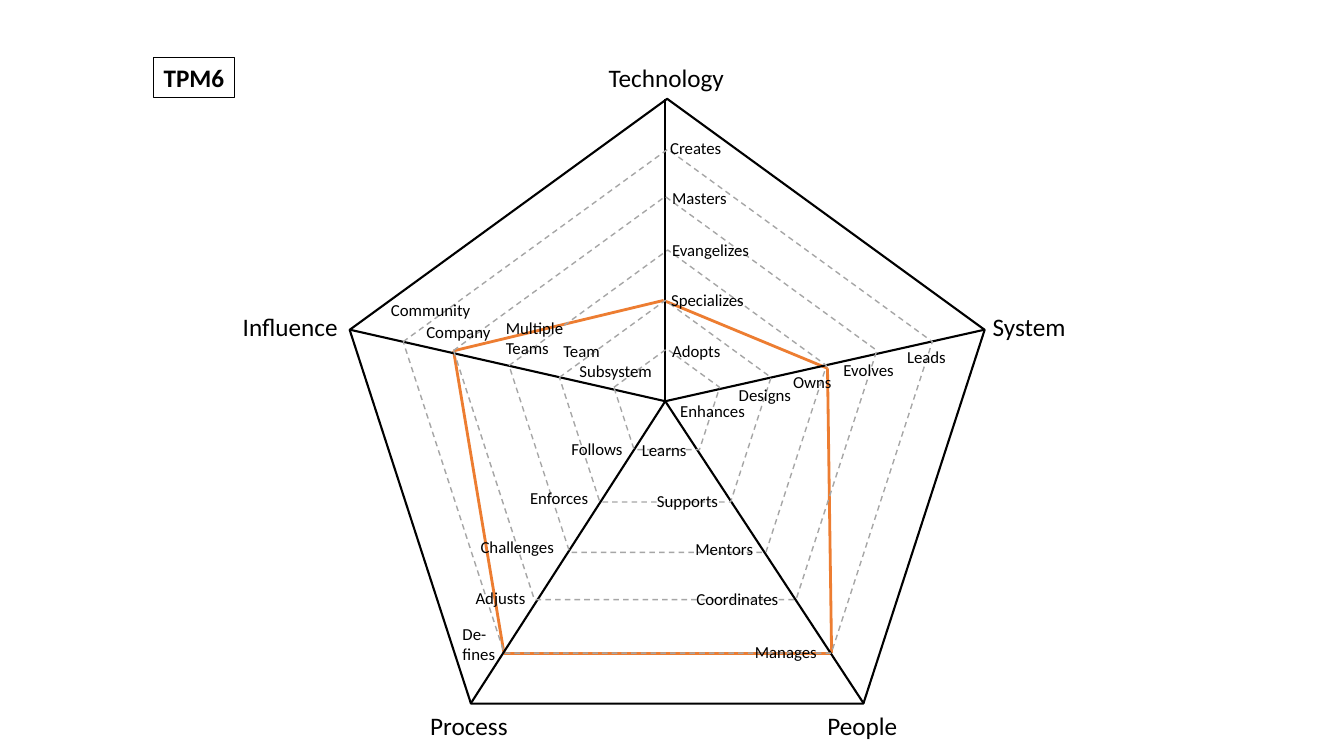
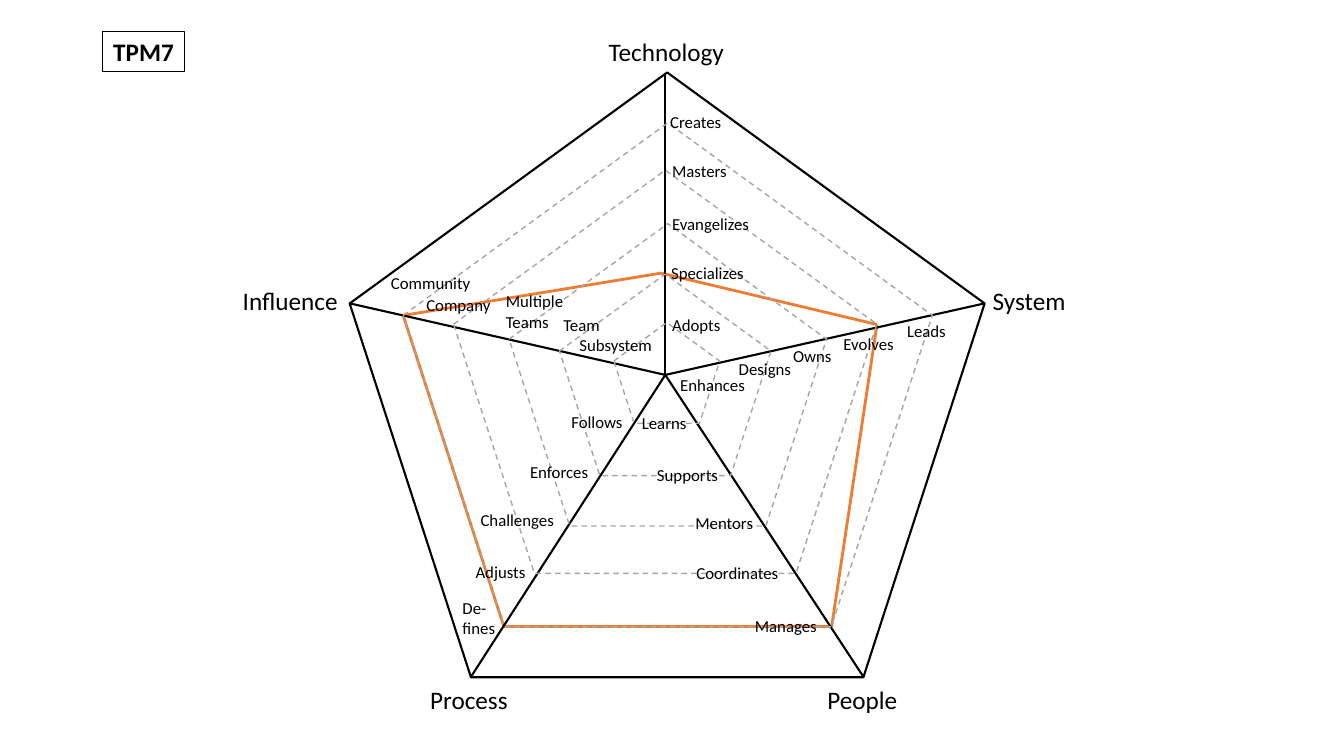
from dataclasses import dataclass
from itertools import pairwise
from lxml.etree import SubElement
from pptx import Presentation
from pptx.dml.color import RGBColor
from pptx.enum.dml import MSO_LINE
from pptx.enum.shapes import MSO_CONNECTOR, MSO_SHAPE
from pptx.enum.text import MSO_ANCHOR, MSO_AUTO_SIZE, PP_ALIGN
from pptx.oxml.ns import qn
from pptx.util import Pt


@dataclass(frozen=True)
class Theme:
    ink: RGBColor = RGBColor(0, 0, 0)
    grid: RGBColor = RGBColor(0xA6, 0xA6, 0xA6)
    profile: RGBColor = RGBColor(0xED, 0x7D, 0x31)
    font: str = "Calibri"
    heading_size: int = 18
    level_size: int = 12


theme = Theme()

HUB = (475.2, 216)
SPOKE_TIPS = [(475.2, 0), (336.2, 432), (617, 432), (249.8, 164.9), (703.4, 164.9)]
RING_CORNERS = [(249.8, 0), (288, 36), (324, 69.8), (363.6, 108), (399.6, 144), (438.5, 178.6)]
RING_STEP = (75.6, 72)

AXIS_LABELS = [
    ("Technology", 427.7, -29.5, 97.9),
    ("System", 702, 148.3, 67),
    ("People", 583.9, 433.4, 64.8),
    ("Process", 300.2, 433.4, 70.6),
    ("Influence", 166.3, 148.3, 83.5),
]
LEVEL_LABELS = [
    ("Adopts", 473, 169.2, 49.7),
    ("Specializes", 472.3, 132.5, 67),
    ("Evangelizes", 473, 97.2, 69.8),
    ("Masters", 473, 59.8, 54),
    ("Creates", 471.6, 24.5, 51.8),
    ("Enhances", 478.8, 212.4, 61.2),
    ("Designs", 520.6, 200.9, 52.6),
    ("Owns", 559.4, 191.5, 42.5),
    ("Evolves", 595.4, 182.9, 51.1),
    ("Leads", 640.8, 173.5, 42.5),
    ("Learns", 451.4, 239.8, 46.8),
    ("Supports", 462.2, 276.5, 58.3),
    ("Mentors", 489.6, 311, 56.2),
    ("Coordinates", 490.3, 346.3, 73.4),
    ("Manages", 532.1, 384.5, 59),
    ("Follows", 401, 239, 51.8),
    ("Enforces", 371.5, 274.3, 56.9),
    ("Challenges", 336.2, 308.9, 67.7),
    ("Adjusts", 332.6, 345.6, 50.4),
    ("De-\nfines", 323.3, 371.5, 38.2),
    ("Subsystem", 406.8, 183.6, 67),
    ("Team", 395.3, 169.2, 41),
    ("Multiple\nTeams", 354.2, 152.6, 59),
    ("Company", 297.4, 155.5, 60.5),
    ("Community", 272.2, 139.7, 72),
]
LABEL_GROUPS = [(AXIS_LABELS, theme.heading_size), (LEVEL_LABELS, theme.level_size)]

ROLES = [
    ("TPM6", 109.4, 70.6,
     [(474, 144), (591.1, 192.5), (594, 396), (360, 396), (324, 180)]),
    ("TPM7", 73.4, 51.8,
     [(472.3, 143.3), (626.4, 180), (594, 396), (360, 396), (288, 173.5)]),
]


def draw_line(slide, start, end, chart_top, color, width):
    connector = slide.shapes.add_connector(
        MSO_CONNECTOR.STRAIGHT,
        Pt(start[0]), Pt(chart_top + start[1]), Pt(end[0]), Pt(chart_top + end[1]))
    connector.line.color.rgb = color
    connector.line.width = Pt(width)
    SubElement(connector._element.spPr, qn("a:effectLst"))


def write_text(shape, text, size, auto_size, bold=False, alignment=PP_ALIGN.LEFT):
    frame = shape.text_frame
    frame.text = text
    frame.word_wrap = False
    frame.auto_size = auto_size
    for paragraph in frame.paragraphs:
        paragraph.alignment = alignment
        paragraph.font.name = theme.font
        paragraph.font.size = Pt(size)
        paragraph.font.bold = bold
        paragraph.font.color.rgb = theme.ink


presentation = Presentation()
presentation.slide_width, presentation.slide_height = Pt(960), Pt(540)
title_only = presentation.slide_layouts[5]

for role, title_left, chart_top, profile in ROLES:
    slide = presentation.slides.add_slide(title_only)

    title = slide.shapes.title
    title.left, title.top = Pt(title_left), Pt(chart_top - 29.5)
    title.width, title.height = Pt(58.3), Pt(28.8)
    title.line.color.rgb = theme.ink
    title.line.width = Pt(0.75)
    write_text(title, role, theme.heading_size, MSO_AUTO_SIZE.NONE,
               bold=True, alignment=PP_ALIGN.CENTER)
    title.text_frame.vertical_anchor = MSO_ANCHOR.MIDDLE

    for start, end in pairwise(profile + profile[:1]):
        draw_line(slide, start, end, chart_top, theme.profile, 2)

    for tip in SPOKE_TIPS:
        draw_line(slide, HUB, tip, chart_top, theme.ink, 1.5)

    for index, (left, top) in enumerate(RING_CORNERS):
        level = len(RING_CORNERS) - index
        ring = slide.shapes.add_shape(
            MSO_SHAPE.REGULAR_PENTAGON, Pt(left), Pt(chart_top + top),
            Pt(RING_STEP[0] * level), Pt(RING_STEP[1] * level))
        ring.shadow.inherit = False
        ring.fill.background()
        if index == 0:
            ring.line.color.rgb = theme.ink
            ring.line.width = Pt(1.5)
        else:
            ring.line.color.rgb = theme.grid
            ring.line.width = Pt(1)
            ring.line.dash_style = MSO_LINE.DASH

    for labels, size in LABEL_GROUPS:
        for text, left, top, width in labels:
            line_count = text.count("\n") + 1
            label = slide.shapes.add_textbox(
                Pt(left), Pt(chart_top + top), Pt(width), Pt(7.2 + 1.2 * size * line_count))
            write_text(label, text, size, MSO_AUTO_SIZE.SHAPE_TO_FIT_TEXT)

presentation.save("out.pptx")
